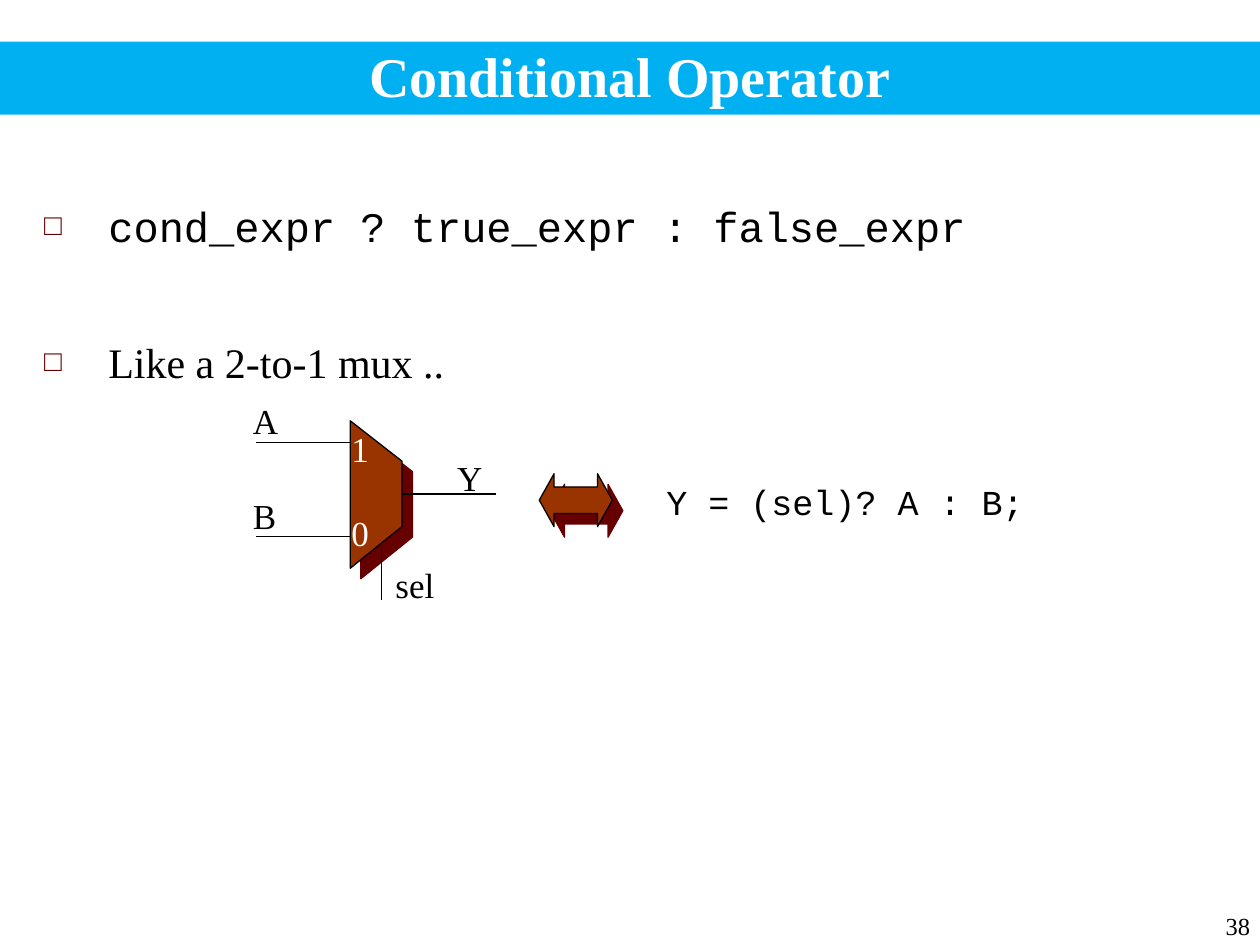
from lxml import etree
from pptx import Presentation
from pptx.dml.color import RGBColor
from pptx.enum import shapes, text
from pptx.oxml import ns
from pptx.util import Inches, Pt

HUES = {"bar": "00B0F0", "mux": "993300", "dark": "660000",
        "ink": "000000", "pale": "FFFFFF"}
SERIF, MONO = "Times New Roman", "Courier New"


def hue(name):
    return RGBColor.from_string(HUES[name])


def sub(node, tag, **attrs):
    return etree.SubElement(node, ns.qn(tag), attrs)


def place(shape, *box):
    shape.left, shape.top, shape.width, shape.height = map(Inches, box)


def write(para, words, size=20, font=SERIF, color="ink", bold=False, align=None):
    run = para.add_run()
    run.text = words
    run.font.name, run.font.size, run.font.bold = font, Pt(size), bold
    run.font.color.rgb = hue(color)
    para.alignment = align


def label(slide, words, box, anchor=text.MSO_ANCHOR.MIDDLE, **fmt):
    frame = slide.shapes.add_textbox(*map(Inches, box)).text_frame
    frame.word_wrap = False
    frame.vertical_anchor = anchor
    write(frame.paragraphs[0], words, **fmt)


def bullet(para, words, **fmt):
    props = para._p.get_or_add_pPr()
    props.set("marL", str(Inches(0.51)))
    props.set("indent", str(-Inches(0.51)))
    sub(sub(props, "a:buClr"), "a:srgbClr", val=HUES["dark"])
    sub(props, "a:buSzPct", val="70000")
    sub(props, "a:buFont", typeface=SERIF)
    sub(props, "a:buChar", char="□")
    write(para, words, size=24, **fmt)


def block(shape):
    """Brown fill, thin outline and a hard shadow to the lower right."""
    shape.fill.solid()
    shape.fill.fore_color.rgb = hue("mux")
    shape.line.color.rgb = hue("ink")
    shape.line.width = Pt(0.75)
    shape.shadow.inherit = False
    effects = shape._element.spPr.find(ns.qn("a:effectLst"))
    cast = sub(effects, "a:outerShdw", blurRad="0", dist=str(Pt(8.5)),
               dir=str(45 * 60000), algn="ctr", rotWithShape="0")
    sub(cast, "a:srgbClr", val=HUES["dark"])


def wire(slide, *ends):
    line = slide.shapes.add_connector(
        shapes.MSO_CONNECTOR.STRAIGHT, *map(Inches, ends))
    line.line.color.rgb = hue("ink")
    line.line.width = Pt(0.75)
    sub(line._element.spPr, "a:effectLst")


def head(slide):
    title = slide.shapes.title
    place(title, 0, 0.33, 10, 0.58)
    title.fill.solid()
    title.fill.fore_color.rgb = hue("bar")
    frame = title.text_frame
    frame.auto_size = text.MSO_AUTO_SIZE.NONE
    frame.vertical_anchor = text.MSO_ANCHOR.BOTTOM
    write(frame.paragraphs[0], "Conditional Operator", size=32,
          color="pale", bold=True, align=text.PP_ALIGN.CENTER)


def points(slide):
    body = slide.placeholders[1]
    place(body, 0.25, 1.54, 9.58, 5.71)
    frame = body.text_frame
    frame.auto_size = text.MSO_AUTO_SIZE.NONE
    first, second = frame.paragraphs[0], frame.add_paragraph()
    first.space_before = Pt(0)
    bullet(first, "cond_expr ? true_expr : false_expr", font=MONO)
    second.space_before = Pt(6)
    second.line_spacing = 2.5
    bullet(second, "Like a 2-to-1 mux ..")


def mux(slide):
    left, right, reach = 2.78, 3.19, 0.75
    # Body of the mux
    rim = [(left, 4.51), (right, 4.18), (right, 3.66), (left, 3.34)]
    dots = [(Inches(x), Inches(y)) for x, y in rim]
    build = slide.shapes.build_freeform(*dots[0])
    build.add_line_segments(dots[1:], close=True)
    block(build.convert_to_shape())

    # Inputs with their names and select values
    for name, digit, y, low in (("A", "1", 3.51, 3.34), ("B", "0", 4.26, 4.01)):
        wire(slide, left, y, left - reach, y)
        label(slide, name, (1.91, y - 0.39, 0.4, 0.44))
        label(slide, digit, (2.69, low, 0.34, 0.44), color="pale")

    # Output and select line
    wire(slide, right + reach, 3.92, right, 3.92)
    label(slide, "Y", (3.53, 3.57, 0.4, 0.44))
    wire(slide, 3.03, 4.34, 3.03, 4.76)
    label(slide, "sel", (3.04, 4.42, 0.51, 0.44))


def code(slide):
    arrow = slide.shapes.add_shape(
        shapes.MSO_SHAPE.LEFT_RIGHT_ARROW,
        *map(Inches, (4.28, 3.76, 0.58, 0.42)))
    arrow.adjustments[0], arrow.adjustments[1] = 0.5, 0.28
    block(arrow)
    label(slide, "Y = (sel)? A : B;", (5.19, 3.76, 3.04, 0.44), font=MONO)


def main():
    deck = Presentation()
    deck.slide_width, deck.slide_height = Inches(10), Inches(7.5)
    slide = deck.slides.add_slide(deck.slide_layouts[1])
    head(slide)
    points(slide)
    mux(slide)
    code(slide)
    # Page number
    label(slide, "38", (7.94, 7.01, 2.08, 0.5), size=14,
          anchor=text.MSO_ANCHOR.BOTTOM, align=text.PP_ALIGN.RIGHT)
    deck.save("out.pptx")


if __name__ == "__main__":
    main()
